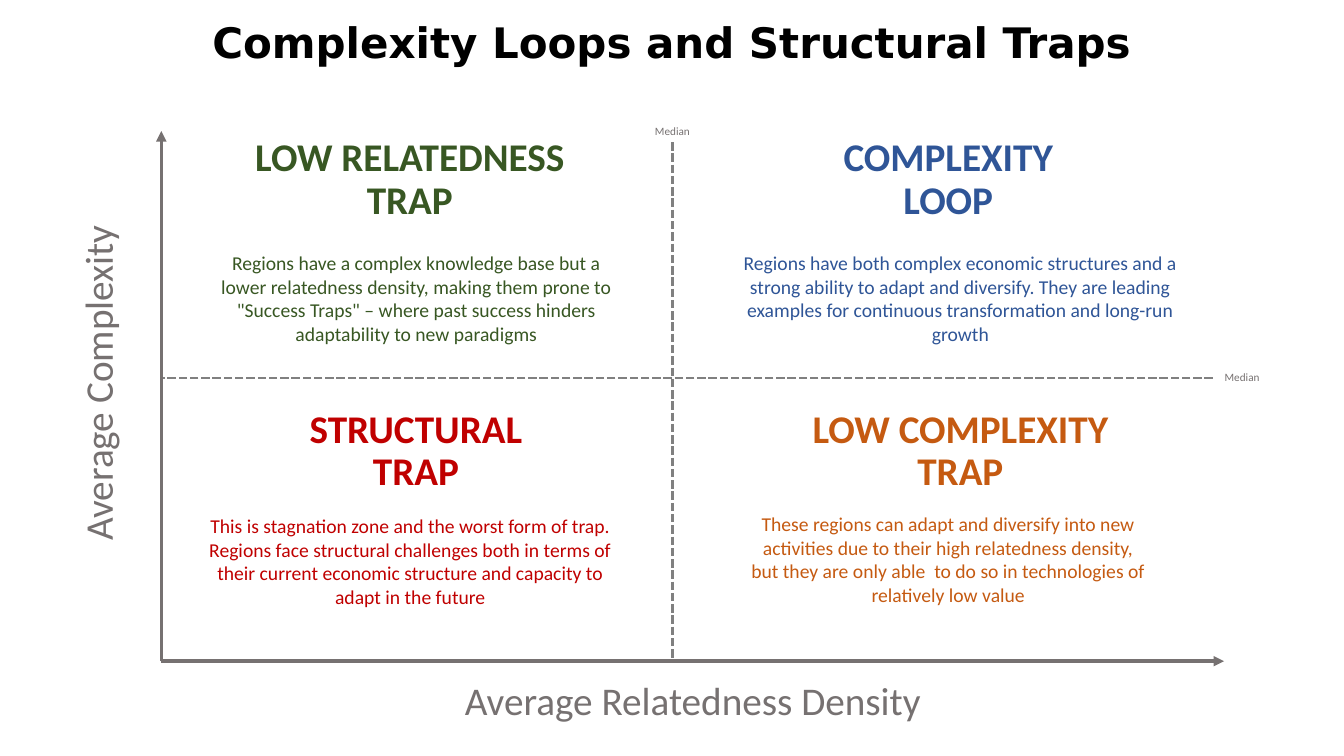
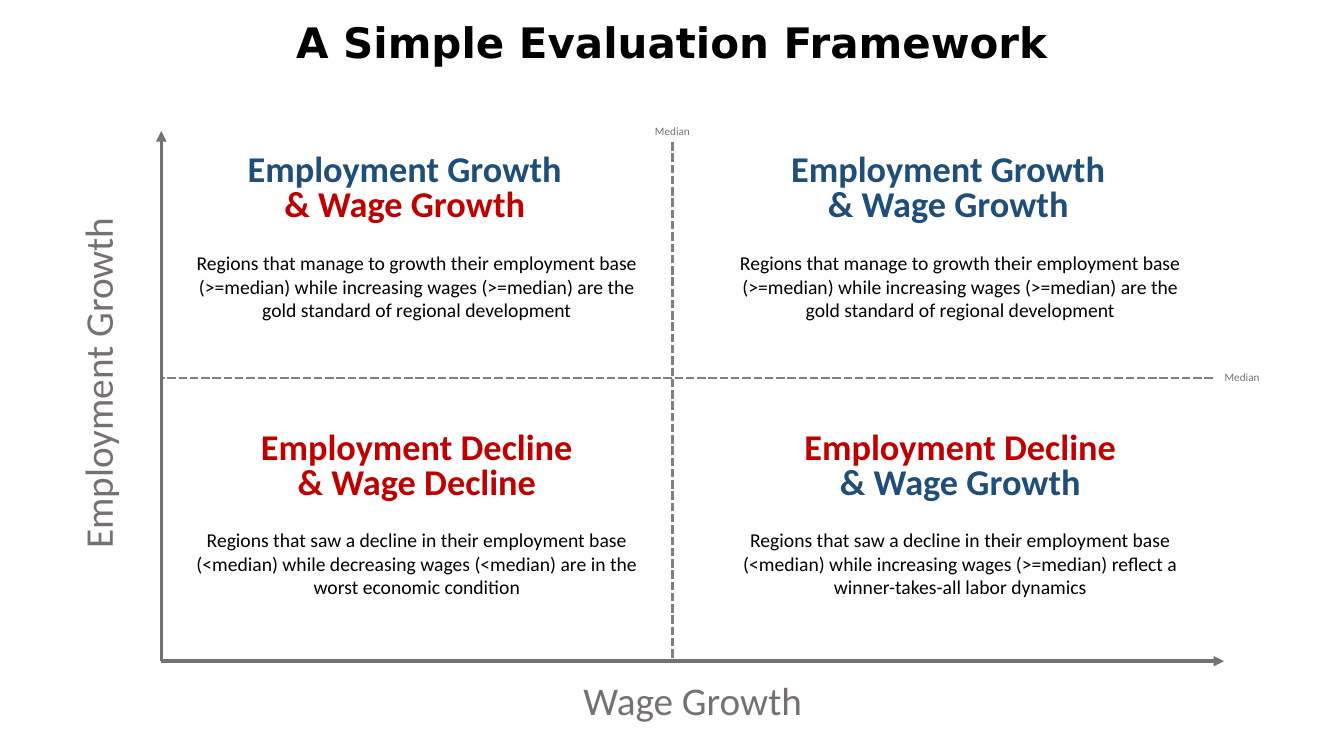
"""Builds two quadrant slides on regional complexity, employment and wages."""
from lxml.etree import SubElement
from pptx import Presentation
from pptx.dml.color import RGBColor
from pptx.enum.dml import MSO_LINE
from pptx.enum.shapes import MSO_CONNECTOR
from pptx.enum.text import MSO_ANCHOR, PP_ALIGN
from pptx.oxml.ns import qn
from pptx.util import Inches, Pt

COLORS = {
    "black": "000000",
    "axis": "767171",
    "median": "808080",
    "green": "385723",
    "blue": "2F5597",
    "navy": "1F4E79",
    "red": "C00000",
    "orange": "C55A11",
}
BODY_FONT = "Calibri"
TITLE_FONT = "DejaVu Sans"
SLIDE_WIDTH, SLIDE_HEIGHT = 13.33, 7.5
AXIS_LEFT, AXIS_RIGHT = 1.6, 12.14
AXIS_TOP, AXIS_BOTTOM = 1.3, 6.56
MEDIAN_X, MEDIAN_Y = 6.67, 3.75
HEADING_WIDTH = 3.37

TRAPS = [
    {
        "heading": [("LOW RELATEDNESS", "green"), ("TRAP", "green")],
        "heading_at": (2.38, 1.32),
        "body": "Regions have a complex knowledge base but a lower relatedness density, "
                "making them prone to \"Success Traps\" – where past success hinders "
                "adaptability to new paradigms",
        "body_at": (1.98, 2.44, 4.3, 1.04),
        "body_color": "green",
    },
    {
        "heading": [("COMPLEXITY", "blue"), ("LOOP", "blue")],
        "heading_at": (7.72, 1.32),
        "body": "Regions have both complex economic structures and a strong ability to "
                "adapt and diversify. They are leading examples for continuous "
                "transformation and long-run growth",
        "body_at": (7.19, 2.44, 4.67, 1.04),
        "body_color": "blue",
    },
    {
        "heading": [("STRUCTURAL", "red"), ("TRAP", "red")],
        "heading_at": (2.44, 4.01),
        "body": "This is stagnation zone and the worst form of trap. Regions face "
                "structural challenges both in terms of their current economic "
                "structure and capacity to adapt in the future",
        "body_at": (1.92, 5.05, 4.3, 1.04),
        "body_color": "red",
    },
    {
        "heading": [("LOW COMPLEXITY", "orange"), ("TRAP", "orange")],
        "heading_at": (7.84, 4.01),
        "body": "These regions can adapt and diversify into new activities due to their "
                "high relatedness density, but they are only able  to do so in "
                "technologies of relatively low value",
        "body_at": (7.32, 5.03, 4.17, 1.04),
        "body_color": "orange",
    },
]

GROWTH_BODY = ("Regions that manage to growth their employment base (>=median) while "
               "increasing wages (>=median) are the gold standard of regional development")
DECLINE_BODY = "Regions that saw a decline in their employment base (<median) while "

OUTCOMES = [
    {
        "heading": [("Employment Growth", "navy"), ("& Wage Growth", "red")],
        "heading_at": (2.33, 1.49),
        "body": GROWTH_BODY,
        "body_at": (1.8, 2.44, 4.67, 0.81),
    },
    {
        "heading": [("Employment Growth", "navy"), ("& Wage Growth", "navy")],
        "heading_at": (7.72, 1.49),
        "body": GROWTH_BODY,
        "body_at": (7.19, 2.44, 4.67, 0.81),
    },
    {
        "heading": [("Employment Decline", "red"), ("& Wage Decline", "red")],
        "heading_at": (2.45, 4.24),
        "body": DECLINE_BODY + "decreasing wages (<median) are in the worst economic condition",
        "body_at": (1.8, 5.19, 4.67, 0.81),
    },
    {
        "heading": [("Employment Decline", "red"), ("& Wage Growth", "navy")],
        "heading_at": (7.84, 4.24),
        "body": DECLINE_BODY + "increasing wages (>=median) reflect a winner-takes-all "
                "labor dynamics",
        "body_at": (7.19, 5.19, 4.67, 0.81),
    },
]


def add_text(slide, lines, at, *, size, color="black", font=BODY_FONT, bold=False,
             spacing=0.9, anchor=MSO_ANCHOR.TOP, rotation=0):
    """Add a centred text box; lines is a string or a list of (text, color) pairs."""
    shape = slide.shapes.add_textbox(*map(Inches, at))
    shape.rotation = rotation
    frame = shape.text_frame
    frame.word_wrap = True
    frame.vertical_anchor = anchor
    paragraph = frame.paragraphs[0]
    paragraph.alignment = PP_ALIGN.CENTER
    paragraph.line_spacing = spacing
    pairs = [(lines, color)] if isinstance(lines, str) else lines
    for index, (text, run_color) in enumerate(pairs):
        if index:
            paragraph.add_line_break()
        run = paragraph.add_run()
        run.text = text
        run.font.name = font
        run.font.size = Pt(size)
        run.font.bold = bold
        run.font.color.rgb = RGBColor.from_string(COLORS[run_color])


def add_line(slide, start, end, *, color, width, dashed=False, arrow=False):
    """Add a straight line, optionally dashed or with an arrowhead at its end."""
    connector = slide.shapes.add_connector(
        MSO_CONNECTOR.STRAIGHT, *map(Inches, (*start, *end)))
    connector.line.color.rgb = RGBColor.from_string(COLORS[color])
    connector.line.width = Pt(width)
    if dashed:
        connector.line.dash_style = MSO_LINE.SQUARE_DOT
    if arrow:
        SubElement(connector.line._get_or_add_ln(), qn("a:tailEnd"), type="triangle")
    SubElement(connector._element.spPr, qn("a:effectLst"))


def add_axes(slide, horizontal_label, vertical_label):
    """Draw the median lines, the two axes and their labels."""
    median = {"color": "median", "width": 2, "dashed": True}
    add_line(slide, (MEDIAN_X, 1.41), (MEDIAN_X, AXIS_BOTTOM), **median)
    add_line(slide, (12.03, MEDIAN_Y), (AXIS_LEFT, MEDIAN_Y), **median)
    origin = (AXIS_LEFT, AXIS_BOTTOM)
    for end in ((AXIS_LEFT, AXIS_TOP), (AXIS_RIGHT, AXIS_BOTTOM)):
        add_line(slide, origin, end, color="axis", width=2.5, arrow=True)
    for left, top in ((11.99, 3.64), (6.34, 1.2)):
        add_text(slide, "Median", (left, top, 0.66, 0.23), size=8, color="axis")
    add_text(slide, horizontal_label, (AXIS_LEFT, 6.71, AXIS_RIGHT - AXIS_LEFT, 0.58),
             size=28, color="axis")
    add_text(slide, vertical_label, (-1.46, 3.47, 5.05, 0.66),
             size=28, color="axis", rotation=270)


def add_quadrant(slide, quadrant, *, heading_size, heading_height, heading_spacing):
    """Add the heading and the description of one quadrant."""
    add_text(slide, quadrant["heading"],
             (*quadrant["heading_at"], HEADING_WIDTH, heading_height),
             size=heading_size, bold=True, spacing=heading_spacing)
    add_text(slide, quadrant["body"], quadrant["body_at"], size=14, spacing=1.0,
             color=quadrant.get("body_color", "black"))


def add_matrix_slide(presentation, title, horizontal_label, vertical_label, quadrants,
                     **heading_format):
    """Add a slide with a title, axes and four quadrants."""
    slide = presentation.slides.add_slide(presentation.slide_layouts[6])
    add_text(slide, title, (0, 0.15, SLIDE_WIDTH, 0.59), size=30, font=TITLE_FONT,
             bold=True, anchor=MSO_ANCHOR.MIDDLE)
    add_axes(slide, horizontal_label, vertical_label)
    for quadrant in quadrants:
        add_quadrant(slide, quadrant, **heading_format)


def main():
    """Build and save the presentation."""
    presentation = Presentation()
    presentation.slide_width = Inches(SLIDE_WIDTH)
    presentation.slide_height = Inches(SLIDE_HEIGHT)
    add_matrix_slide(presentation, "Complexity Loops and Structural Traps",
                     "Average Relatedness Density", "Average Complexity", TRAPS,
                     heading_size=28, heading_height=1.02, heading_spacing=0.9)
    add_matrix_slide(presentation, "A Simple Evaluation Framework",
                     "Wage Growth", "Employment Growth", OUTCOMES,
                     heading_size=25.9, heading_height=0.86, heading_spacing=0.8)
    presentation.save("out.pptx")


if __name__ == "__main__":
    main()
